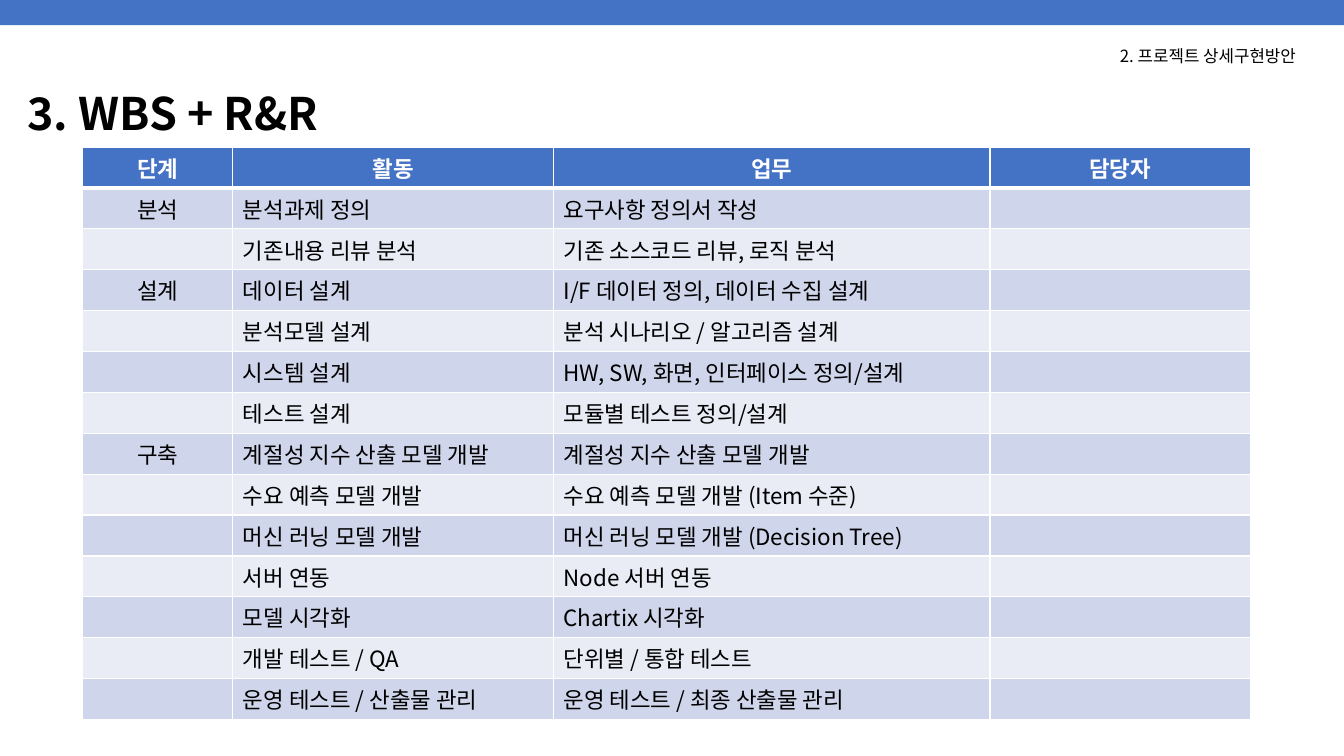
from pptx import Presentation
from pptx.dml.color import RGBColor
from pptx.enum.shapes import MSO_SHAPE
from pptx.enum.text import MSO_ANCHOR, MSO_AUTO_SIZE, PP_ALIGN
from pptx.oxml.ns import qn
from pptx.util import Inches, Pt
from lxml import etree

RECTANGLE = MSO_SHAPE.RECTANGLE
MIDDLE = MSO_ANCHOR.MIDDLE
FIT_SHAPE = MSO_AUTO_SIZE.SHAPE_TO_FIT_TEXT
LEFT, CENTER = PP_ALIGN.LEFT, PP_ALIGN.CENTER

# Content
TITLE = "3. WBS + R&R"
SECTION = "2. 프로젝트 상세구현방안"
HEADINGS = ("단계", "활동", "업무", "담당자")
STAGES = {
    "분석": [
        ("분석과제 정의", "요구사항 정의서 작성"),
        ("기존내용 리뷰 분석", "기존 소스코드 리뷰, 로직 분석"),
    ],
    "설계": [
        ("데이터 설계", "I/F 데이터 정의, 데이터 수집 설계"),
        ("분석모델 설계", "분석 시나리오 / 알고리즘 설계"),
        ("시스템 설계", "HW, SW, 화면, 인터페이스 정의/설계"),
        ("테스트 설계", "모듈별 테스트 정의/설계"),
    ],
    "구축": [
        ("계절성 지수 산출 모델 개발", "계절성 지수 산출 모델 개발"),
        ("수요 예측 모델 개발", "수요 예측 모델 개발 (Item 수준)"),
        ("머신 러닝 모델 개발", "머신 러닝 모델 개발 (Decision Tree)"),
        ("서버 연동", "Node 서버 연동"),
        ("모델 시각화", "Chartix 시각화"),
        ("개발 테스트 / QA", "단위별 / 통합 테스트"),
        ("운영 테스트 / 산출물 관리", "운영 테스트 / 최종 산출물 관리"),
    ],
}

# Theme and layout
THEME = {
    "font": "Noto Sans CJK KR",
    "accent": "4472C4", "bands": ("CFD5EA", "E9EBF5"),
    "text": "000000", "light": "FFFFFF",
    "title": 32, "section": 12, "cell": 16,
    "rule": 1, "heading_rule": 3,
}
SLIDE_W, SLIDE_H = 13.33, 7.5
BAR_H = SLIDE_H / 30
TITLE_BOX = (0.17, 0.71, 12.93, 0.89)
SECTION_BOX = (11.01, 0.4, 2.13, 0.3)
TABLE_LEFT, TABLE_TOP, TABLE_H = 0.82, 1.46, 5.68
COLUMNS = (1.49, 3.18, 4.33, 2.58)


def inches(*lengths):
    return [Inches(length) for length in lengths]


def write(paragraph, text, size, color=THEME["text"], bold=False):
    run = paragraph.add_run()
    run.text = text
    formats = {"name": THEME["font"], "size": Pt(size), "bold": bold}
    for attribute, value in formats.items():
        setattr(run.font, attribute, value)
    run.font.color.rgb = RGBColor.from_string(color)
    east_asian = etree.SubElement(run.font._element, qn("a:ea"))
    east_asian.set("typeface", THEME["font"])


def set_borders(cell, widths):
    properties = cell._tc.get_or_add_tcPr()
    for index, (side, width) in enumerate(widths.items()):
        line = etree.Element(qn(f"a:ln{side}"), w=str(Pt(width)))
        fill = etree.SubElement(line, qn("a:solidFill"))
        etree.SubElement(fill, qn("a:srgbClr"), val=THEME["light"])
        properties.insert(index, line)


prs = Presentation()
prs.slide_width, prs.slide_height = inches(SLIDE_W, SLIDE_H)
slide = prs.slides.add_slide(prs.slide_layouts[5])

# Top bar
bar = slide.shapes.add_shape(RECTANGLE, *inches(0, 0, SLIDE_W, BAR_H))
bar.shadow.inherit = False
bar.fill.solid()
bar.fill.fore_color.rgb = RGBColor.from_string(THEME["accent"])
bar.line.fill.background()

# Title
title = slide.shapes.title
title.left, title.top, title.width, title.height = inches(*TITLE_BOX)
title.text_frame.vertical_anchor = MIDDLE
title_line = title.text_frame.paragraphs[0]
title_line.alignment = LEFT
title_line.line_spacing = 0.9
write(title_line, TITLE, THEME["title"], bold=True)

# Section label
section = slide.shapes.add_textbox(*inches(*SECTION_BOX)).text_frame
section.word_wrap = False
section.auto_size = FIT_SHAPE
write(section.paragraphs[0], SECTION, THEME["section"])

# Work breakdown table: the stage name stands only in its first row
rows = [HEADINGS]
for stage, tasks in STAGES.items():
    for index, (activity, work) in enumerate(tasks):
        rows.append((stage if index == 0 else "", activity, work, ""))

wbs = slide.shapes.add_table(
    len(rows), len(COLUMNS),
    *inches(TABLE_LEFT, TABLE_TOP, sum(COLUMNS), TABLE_H)).table
for column, width in zip(wbs.columns, COLUMNS):
    column.width = Inches(width)

for r, row in enumerate(rows):
    wbs.rows[r].height = Inches(TABLE_H / len(rows))
    heading = r == 0
    fill = THEME["accent"] if heading else THEME["bands"][(r - 1) % 2]
    rule, heading_rule = THEME["rule"], THEME["heading_rule"]
    borders = {"L": rule, "R": rule,
               "T": heading_rule if r == 1 else rule,
               "B": heading_rule if heading else rule}
    for c, text in enumerate(row):
        cell = wbs.cell(r, c)
        cell.vertical_anchor = MIDDLE
        cell.margin_top = cell.margin_bottom = Inches(0.04)
        cell.fill.solid()
        cell.fill.fore_color.rgb = RGBColor.from_string(fill)
        set_borders(cell, borders)
        paragraph = cell.text_frame.paragraphs[0]
        paragraph.alignment = CENTER if heading or c == 0 else LEFT
        if text:
            write(paragraph, text, THEME["cell"],
                  THEME["light"] if heading else THEME["text"], heading)
        else:
            etree.SubElement(paragraph._p, qn("a:endParaRPr"),
                             sz=str(THEME["cell"] * 100))

prs.save("out.pptx")
